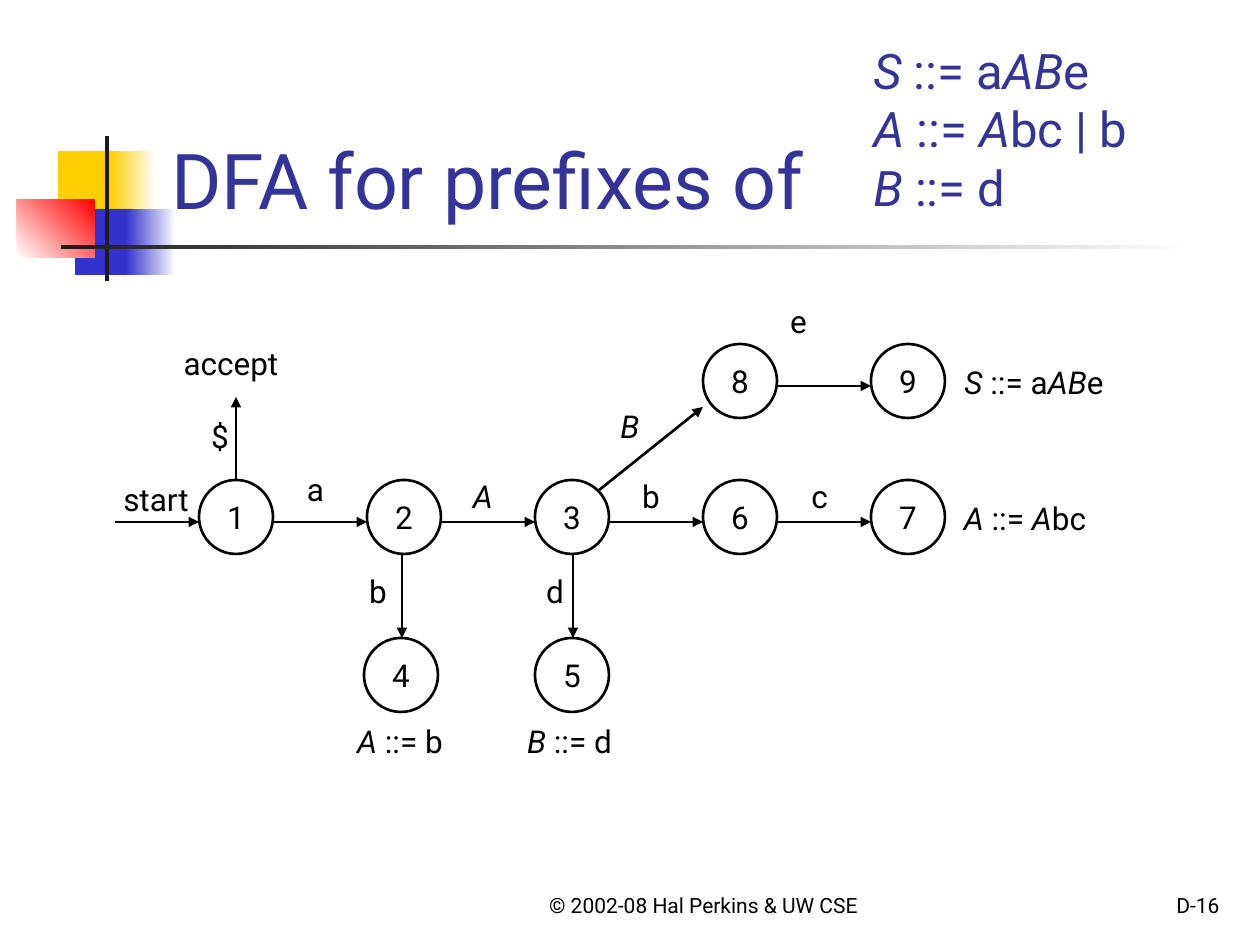
from lxml import etree
from pptx import Presentation
from pptx.dml.color import RGBColor
from pptx.enum.shapes import MSO_CONNECTOR, MSO_SHAPE
from pptx.enum.text import MSO_ANCHOR, MSO_AUTO_SIZE, PP_ALIGN
from pptx.oxml.ns import qn
from pptx.util import Emu, Pt

RECTANGLE, OVAL = MSO_SHAPE.RECTANGLE, MSO_SHAPE.OVAL
STRAIGHT = MSO_CONNECTOR.STRAIGHT
TOP, MIDDLE, BOTTOM = MSO_ANCHOR.TOP, MSO_ANCHOR.MIDDLE, MSO_ANCHOR.BOTTOM
LEFT, CENTER, RIGHT = PP_ALIGN.LEFT, PP_ALIGN.CENTER, PP_ALIGN.RIGHT
NO_AUTOFIT = MSO_AUTO_SIZE.NONE

BLACK = RGBColor(0x00, 0x00, 0x00)
WHITE = RGBColor(0xFF, 0xFF, 0xFF)
YELLOW = RGBColor(0xFF, 0xCF, 0x01)
BLUE = RGBColor(0x33, 0x33, 0xCC)
RED = RGBColor(0xFF, 0x00, 0x00)
CHARCOAL = RGBColor(0x1C, 0x1C, 0x1C)
INDIGO = RGBColor(0x33, 0x33, 0x99)

FONT = "Roboto"
NODE_SIZE = 74
FIRST_COLUMN, COLUMN_STEP = 199, 168
UPPER_ROW, MAIN_ROW, LOWER_ROW = 344, 480, 638
ARROW_DROP = 42
LABEL_HEIGHT = 50


def px(length):
    return Emu(round(length * 914400 / 126))


def column(index):
    return FIRST_COLUMN + index * COLUMN_STEP


def write(frame, lines, size, color, align, anchor, wrap):
    frame.word_wrap = wrap
    frame.auto_size = NO_AUTOFIT
    frame.vertical_anchor = anchor
    for number, line in enumerate(lines):
        para = frame.add_paragraph() if number else frame.paragraphs[0]
        para.alignment = align
        for position, piece in enumerate(line.split("*")):
            if piece:
                span = para.add_run()
                span.text = piece
                span.font.name = FONT
                span.font.size = Pt(size)
                span.font.italic = position % 2 == 1
                span.font.color.rgb = color


def add_text(page, left, top, width, height, lines, size=18, color=BLACK,
             align=CENTER, anchor=TOP, wrap=False):
    box = page.shapes.add_textbox(px(left), px(top), px(width), px(height))
    write(box.text_frame, lines, size, color, align, anchor, wrap)


def add_block(page, left, top, width, height, start, end=None, angle=0):
    block = page.shapes.add_shape(RECTANGLE, px(left), px(top), px(width), px(height))
    block.shadow.inherit = False
    block.line.fill.background()
    if end is None:
        block.fill.solid()
        block.fill.fore_color.rgb = start
        return
    block.fill.gradient()
    block.fill.gradient_angle = angle
    for stop, color in zip(block.fill.gradient_stops, (start, end)):
        stop.color.rgb = color


def add_state(page, name, left, top):
    state = page.shapes.add_shape(OVAL, px(left), px(top), px(NODE_SIZE), px(NODE_SIZE))
    state.shadow.inherit = False
    state.fill.background()
    state.line.color.rgb = BLACK
    state.line.width = Pt(1.5)
    write(state.text_frame, [name], 18, BLACK, CENTER, MIDDLE, False)
    return state


def add_arrow(page, x1, y1, x2, y2):
    arrow = page.shapes.add_connector(STRAIGHT, px(x1), px(y1), px(x2), px(y2))
    arrow.line.color.rgb = BLACK
    arrow.line.width = Pt(1.5)
    line = arrow.line._get_or_add_ln()
    etree.SubElement(line, qn("a:tailEnd"), type="triangle")
    etree.SubElement(arrow._element.spPr, qn("a:effectLst"))
    return arrow


def add_decoration(page):
    add_block(page, 58, 151, 60, 65, YELLOW)
    add_block(page, 110, 151, 46, 65, YELLOW, WHITE)
    add_block(page, 75, 209, 58, 66, BLUE)
    add_block(page, 126, 209, 50, 66, BLUE, WHITE)
    add_block(page, 17, 199, 78, 59, WHITE, RED, 45)
    add_block(page, 105, 136, 4, 145, CHARCOAL)
    add_block(page, 61, 245, 1134, 4, CHARCOAL, WHITE)


def add_automaton(page):
    main_states = [add_state(page, name, column(index), MAIN_ROW)
                   for index, name in enumerate("12367")]
    for index, name in ((3, "8"), (4, "9")):
        add_state(page, name, column(index), UPPER_ROW)
    add_state(page, "4", 364, LOWER_ROW)
    add_state(page, "5", column(2), LOWER_ROW)

    main_y = MAIN_ROW + ARROW_DROP
    upper_y = UPPER_ROW + ARROW_DROP
    add_arrow(page, 115, main_y, column(0), main_y)
    for index, y in [(step, main_y) for step in range(4)] + [(3, upper_y)]:
        add_arrow(page, column(index) + NODE_SIZE, y, column(index + 1), y)
    for x in (402, 573):
        add_arrow(page, x, MAIN_ROW + NODE_SIZE, x, LOWER_ROW)
    add_arrow(page, 598, 491, column(3), 407)
    center = column(0) + NODE_SIZE // 2
    accept = add_arrow(page, center, MAIN_ROW, center, 397)
    accept.begin_connect(main_states[0], 0)


def add_labels(page):
    labels = [
        ("start", 62, 474, 188), ("a", 247, 464, 137),
        ("*A *::= b", 296, 716, 208), ("*B *::= d", 465, 716, 209),
        ("b", 309, 566, 138), ("d", 486, 566, 138),
        ("*A*", 414, 471, 138), ("b", 582, 471, 138), ("c", 752, 471, 135),
        ("*A *::= *A*bc", 905, 493, 240), ("*B*", 561, 401, 138),
        ("e", 730, 296, 137), ("*S *::= a*AB*e", 905, 357, 258),
        ("accept", 123, 338, 216), ("$", 151, 411, 138),
    ]
    for text, left, top, width in labels:
        add_text(page, left, top, width, LABEL_HEIGHT, [text])


def main():
    deck = Presentation()
    deck.slide_width, deck.slide_height = px(1260), px(945)
    page = deck.slides.add_slide(deck.slide_layouts[6])
    add_decoration(page)
    add_text(page, 504, 861, 399, 63, ["© 2002-08 Hal Perkins & UW CSE"],
             12, anchor=BOTTOM, wrap=True)
    add_text(page, 970, 861, 262, 63, ["D-16"], 12, align=RIGHT, anchor=BOTTOM, wrap=True)
    add_text(page, 159, 29, 1074, 202, ["DFA for prefixes of"],
             44, INDIGO, LEFT, BOTTOM, True)
    add_text(page, 861, 34, 315, 189,
             ["*S* ::= a*AB*e", "*A* ::= *A*bc | b", "*B* ::= d"],
             28, INDIGO, LEFT, wrap=True)
    add_automaton(page)
    add_labels(page)
    deck.save("out.pptx")


if __name__ == "__main__":
    main()
